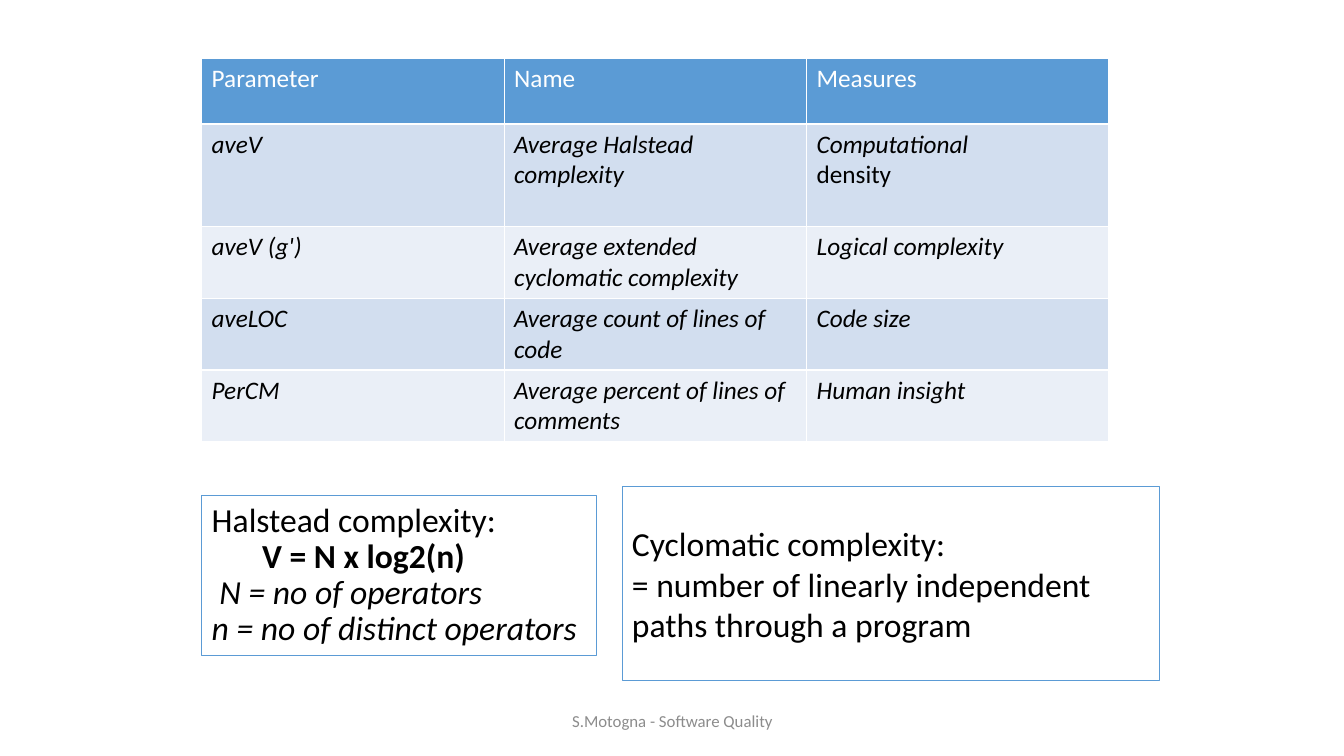
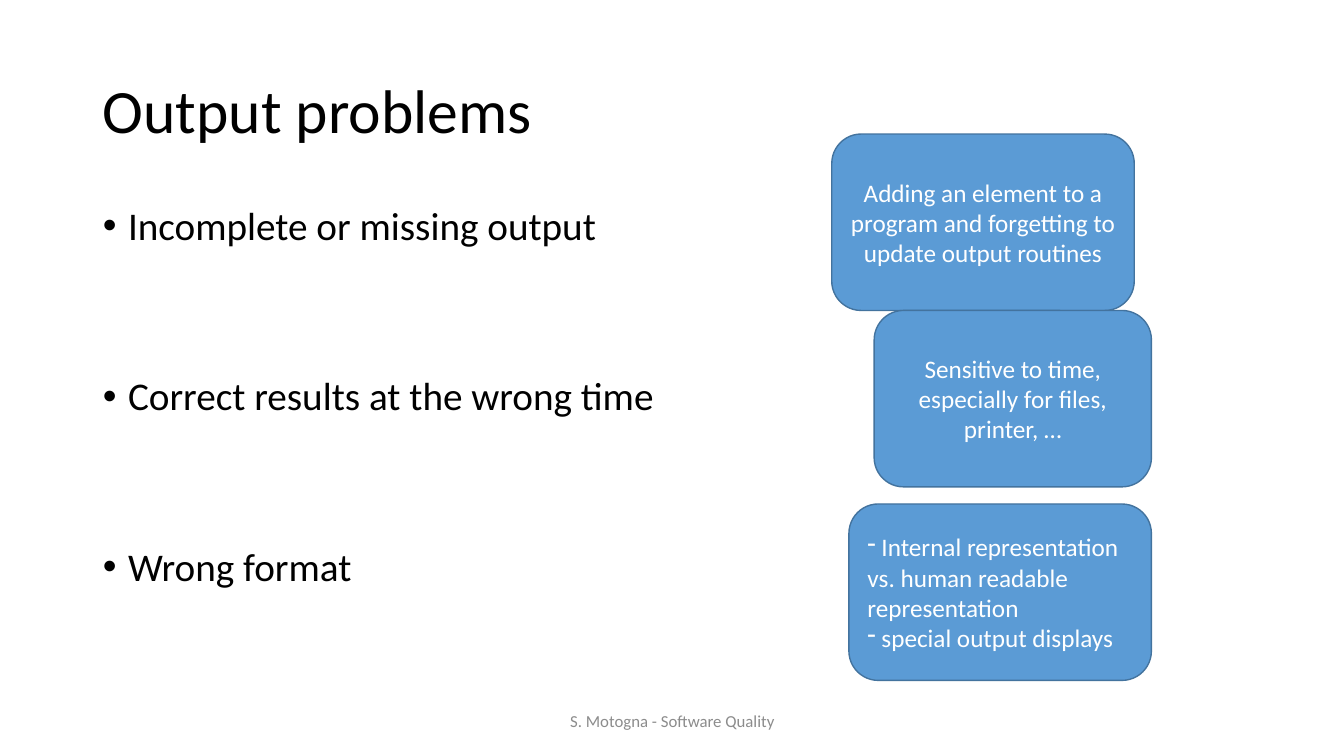
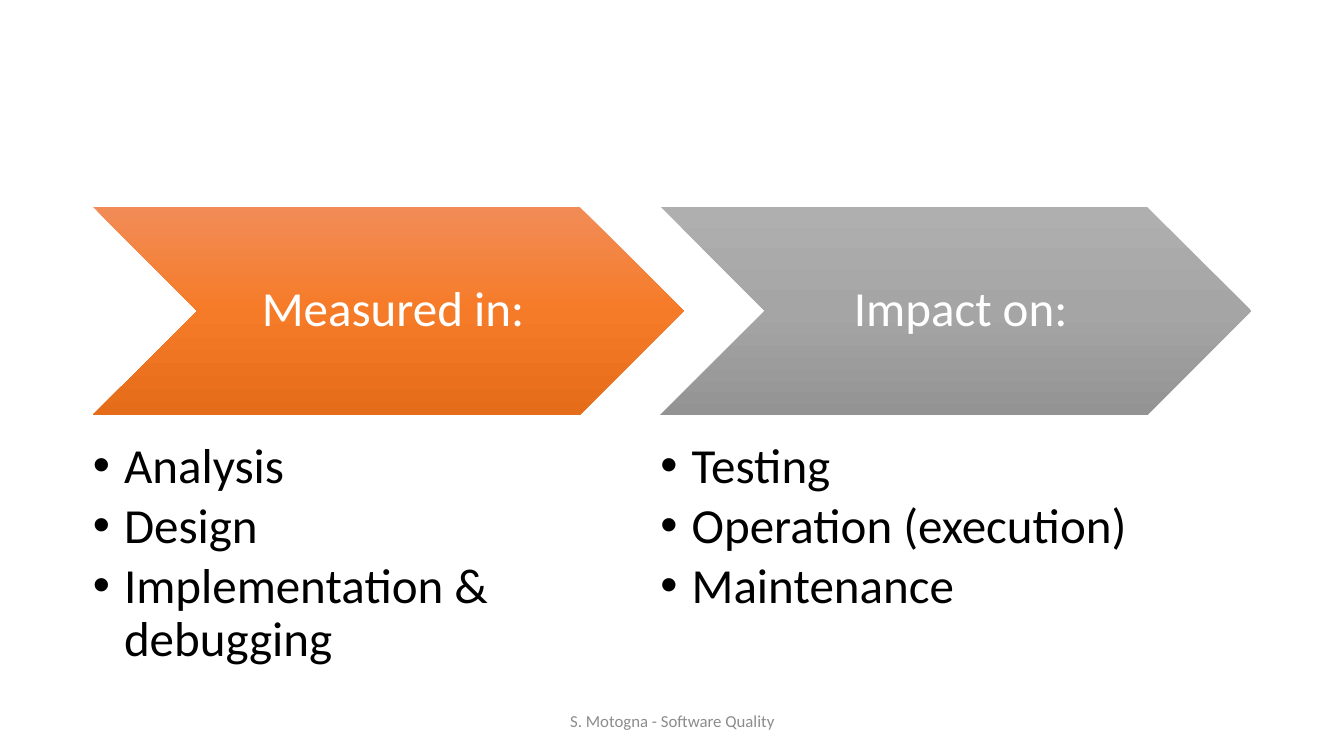
from copy import deepcopy

from lxml.etree import SubElement
from pptx import Presentation
from pptx.dml.color import RGBColor
from pptx.enum.shapes import MSO_SHAPE
from pptx.enum.text import MSO_ANCHOR, MSO_AUTO_SIZE, PP_ALIGN
from pptx.oxml.ns import qn
from pptx.util import Inches, Pt

RECT, ROUND = MSO_SHAPE.RECTANGLE, MSO_SHAPE.ROUNDED_RECTANGLE
CHEVRON = MSO_SHAPE.CHEVRON
LEFT, CENTER = PP_ALIGN.LEFT, PP_ALIGN.CENTER
TOP, MIDDLE = MSO_ANCHOR.TOP, MSO_ANCHOR.MIDDLE
NOFIT = MSO_AUTO_SIZE.NONE

FONT = "Calibri"
COLORS = {
    "ink": "000000", "white": "FFFFFF", "gray": "8C8C8C",
    "blue": "5B9BD5", "edge": "43739E", "band": "D2DEEF", "pale": "EAEFF7",
}

# Content
PARAMS = [
    ("Parameter", "Name", "Measures"),
    ("aveV", "Average Halstead complexity", "Computational\ndensity"),
    ("aveV (g')", "Average extended cyclomatic complexity", "Logical complexity"),
    ("aveLOC", "Average count of lines of code", "Code size"),
    ("PerCM", "Average percent of lines of comments", "Human insight"),
]
HEIGHTS = (0.65, 1.02, 0.71, 0.71, 0.71)
HALSTEAD = [  # text, bold, italic
    ("Halstead complexity:", False, False),
    ("\tV = N x log2(n)", True, False),
    (" N = no of operators", False, True),
    ("n = no of distinct operators", False, True),
]
CYCLO = ("Cyclomatic complexity:\v"
         "= number of linearly independent paths through a program")
PROBLEMS = ["Incomplete or missing output", "Correct results at the wrong time",
            "Wrong format"]
NOTES = [  # box, lines, bulleted
    ((8.25, 1.33, 3, 1.75),
     ["Adding an element to a program and forgetting to update output routines"],
     False),
    ((8.67, 3.08, 2.75, 1.75),
     ["Sensitive to time, especially for files, printer, …"], False),
    ((8.42, 5, 3, 1.75),
     [" Internal representation vs. human readable representation",
      " special output displays"], True),
]
PHASES = [  # heading, gradient, items
    ("Measured in:", ("F18C57", "F67B28", "E56C19"),
     ["Analysis", "Design", "Implementation & debugging"]),
    ("Impact on:", ("AFAFAF", "A5A5A5", "939393"),
     ["Testing", "Operation (execution)", "Maintenance"]),
]


def rgb(name):
    """Return a colour of the palette."""
    return RGBColor.from_string(COLORS[name])


def place(shape, box):
    """Move and size a shape to a box in inches."""
    shape.left, shape.top, shape.width, shape.height = map(Inches, box)


def style(par, size, color="ink", bold=False, italic=False):
    """Set the font of a paragraph."""
    font = par.font
    font.name, font.size, font.bold, font.italic = FONT, Pt(size), bold, italic
    font.color.rgb = rgb(color)


def write(shape, lines, size, color="ink", align=LEFT, anchor=MIDDLE, lead=1):
    """Fill a shape with one paragraph a line and return the paragraphs."""
    frame = shape.text_frame
    frame.text = "\n".join(lines)
    frame.word_wrap, frame.auto_size = True, NOFIT
    frame.vertical_anchor = anchor
    for par in frame.paragraphs:
        par.alignment, par.line_spacing = align, lead
        par.space_before = par.space_after = Pt(0)
        style(par, size, color)
    return frame.paragraphs


def hang(par, depth):
    """Hang a bulleted paragraph by a depth in inches."""
    props = par._p.get_or_add_pPr()
    props.set("marL", str(Inches(depth)))
    props.set("indent", str(-Inches(depth)))


def draw(slide, kind, box, fill=None, line=None, width=1):
    """Add a flat preset shape."""
    shape = slide.shapes.add_shape(kind, *map(Inches, box))
    shape.shadow.inherit = False
    if fill:
        shape.fill.solid()
        shape.fill.fore_color.rgb = rgb(fill)
    else:
        shape.fill.background()
    if line:
        shape.line.color.rgb, shape.line.width = rgb(line), Pt(width)
    else:
        shape.line.fill.background()
    return shape


def shade(shape, hues):
    """Give a shape an even three-stop gradient from top to bottom."""
    shape.fill.gradient()
    shape.fill.gradient_angle = 270
    stops = shape._element.find(".//" + qn("a:gsLst"))
    stops.append(deepcopy(stops[0]))
    for i, (stop, hue) in enumerate(zip(shape.fill.gradient_stops, hues)):
        stop.position = i / 2
        stop.color.rgb = RGBColor.from_string(hue)


def start(deck, layout, foot):
    """Add a slide with its footer line."""
    slide = deck.slides.add_slide(deck.slide_layouts[layout])
    box = slide.shapes.add_textbox(*map(Inches, (4.42, 6.95, 4.5, 0.4)))
    write(box, [foot], 12, "gray", CENTER)
    return slide


def metrics(deck):
    """Build the table of parameters with two definitions."""
    slide = start(deck, 5, "S.Motogna - Software Quality")
    title = slide.shapes.title
    place(title, (2, 4.92, 3.92, 1.58))
    title.line.color.rgb, title.line.width = rgb("blue"), Pt(0.75)
    pars = write(title, [row[0] for row in HALSTEAD], 24, lead=0.9)
    for par, (_, bold, italic) in zip(pars, HALSTEAD):
        style(par, 24, bold=bold, italic=italic)

    area = map(Inches, (2, 0.58, 9, sum(HEIGHTS)))
    table = slide.shapes.add_table(len(PARAMS), 3, *area).table
    for r, (row, height) in enumerate(zip(PARAMS, HEIGHTS)):
        table.rows[r].height = Inches(height)
        fill = ("pale", "band")[r % 2] if r else "blue"
        for c, text in enumerate(row):
            cell = table.cell(r, c)
            cell.text = text
            cell.fill.solid()
            cell.fill.fore_color.rgb = rgb(fill)
            for par in cell.text_frame.paragraphs:
                style(par, 18, "ink" if r else "white",
                      italic=r > 0 and par.text != "density")

    cyclo = draw(slide, RECT, (6.17, 4.83, 5.33, 1.92), line="blue", width=0.75)
    write(cyclo, [CYCLO], 24)


def output(deck):
    """Build the list of output problems with its notes."""
    slide = start(deck, 1, "S. Motogna - Software Quality")
    place(slide.shapes.title, (0.92, 0.4, 11.5, 1.45))
    write(slide.shapes.title, ["Output problems"], 44, lead=0.9)
    body = slide.placeholders[1]
    place(body, (0.92, 2, 11.5, 4.76))
    for i, par in enumerate(write(body, PROBLEMS, 28, anchor=TOP, lead=0.9)):
        hang(par, 0.25)
        par.space_before = Pt(91.5 if i else 10)
    for box, lines, listed in NOTES:
        note = draw(slide, ROUND, box, "blue", "edge")
        pars = write(note, lines, 18, "white", LEFT if listed else CENTER)
        if listed:
            for par in pars:
                SubElement(par._p.get_or_add_pPr(), qn("a:buChar")).set("char", "-")
                # The font defaults must close the paragraph properties.
                props = par._p.pPr
                fonts = props.find(qn("a:defRPr"))
                if fonts is not None:
                    props.append(fonts)


def phases(deck):
    """Build two chevrons, each above its list."""
    slide = start(deck, 3, "S. Motogna - Software Quality")
    title = slide.shapes.title._element
    title.getparent().remove(title)
    for i, (head, hues, items) in enumerate(PHASES):
        left = 0.92 + i * 5.63
        arrow = draw(slide, CHEVRON, (left, 2.05, 5.86, 2.07))
        shade(arrow, hues)
        write(arrow, [head], 35, "white", CENTER, lead=0.9)
        arrow.text_frame.margin_left = Inches(0.15)
        arrow.text_frame.margin_right = Inches(0.05)
        body = slide.placeholders[i + 1]
        place(body, (left, 4.38, 4.69, 2.33))
        frame = body.text_frame
        frame.margin_left = frame.margin_right = 0
        frame.margin_top = frame.margin_bottom = 0
        for par in write(body, items, 35, anchor=TOP, lead=0.9):
            hang(par, 0.31)
            par.space_after = Pt(5)


deck = Presentation()
deck.slide_width, deck.slide_height = Inches(13.33), Inches(7.5)
metrics(deck)
output(deck)
phases(deck)
deck.save("out.pptx")
